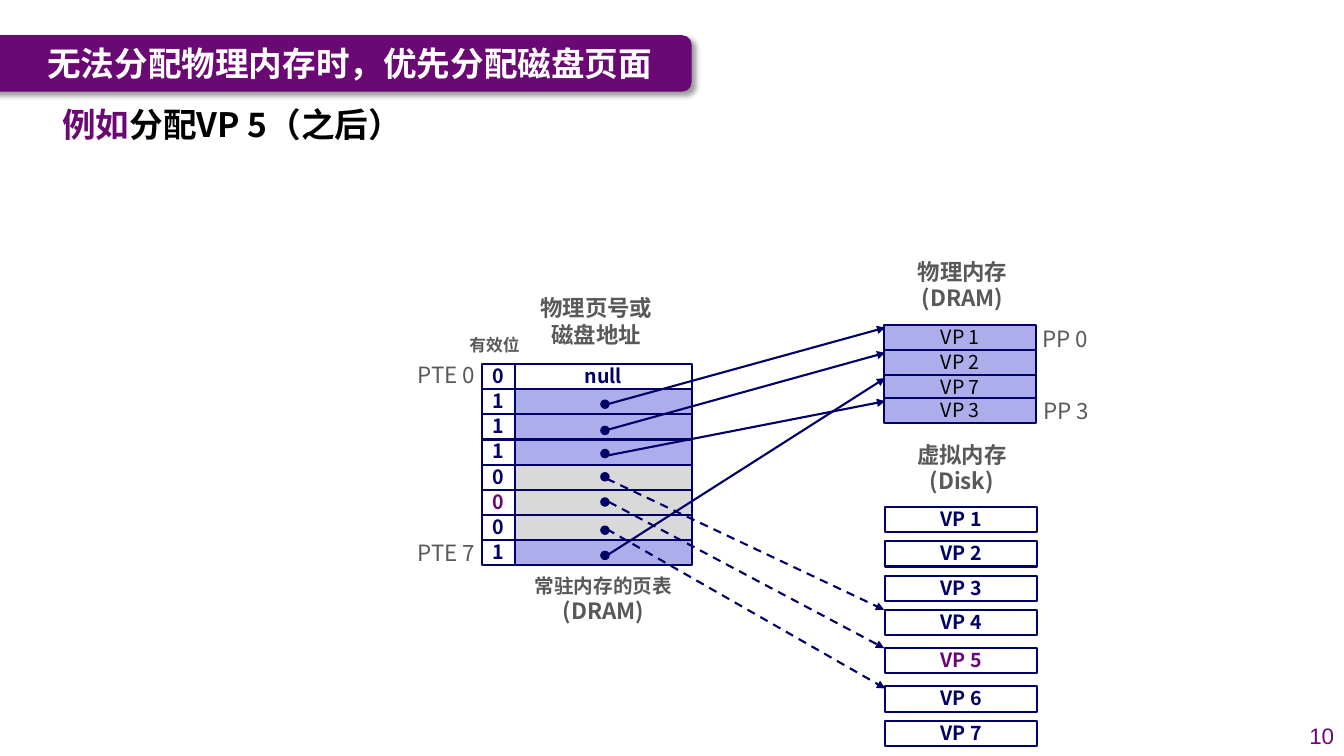
"""Build a slide on page allocation falling back to disk when memory is full."""
from dataclasses import dataclass
from typing import NamedTuple

from lxml import etree
from pptx import Presentation
from pptx import util as u
from pptx.dml.color import RGBColor
from pptx.enum import dml, shapes, text
from pptx.oxml import ns

CELL = 0.25
CJK = "Noto Sans CJK SC"
NAVY, PURPLE, BANNER, GRAY = "000066", "6B0874", "6A0874", "595959"
LILAC, SILVER, WHITE, BLACK = "ADADEB", "D9D9D9", "FFFFFF", "000000"
LEFT, CENTER, RIGHT = text.PP_ALIGN.LEFT, text.PP_ALIGN.CENTER, text.PP_ALIGN.RIGHT
TOP, MIDDLE = text.MSO_ANCHOR.TOP, text.MSO_ANCHOR.MIDDLE
RECT, ROUND, OVAL = (shapes.MSO_SHAPE.RECTANGLE, shapes.MSO_SHAPE.ROUNDED_RECTANGLE,
                     shapes.MSO_SHAPE.OVAL)

TABLE_TOP, BIT_COL, ENTRY_COL = 14.44, 19.12, 20.44
BIT_W, ENTRY_W, PAGE_W = 1.32, 7, 6.04
DRAM_COL, DISK_COL = 35.08, 35.12
DOT_COL, DOT_SIZE = 23.84, 0.32


class Run(NamedTuple):
    """A piece of text with its format."""
    words: str
    size: float = 14
    color: str = NAVY
    bold: bool = True
    font: str = CJK


class Link(NamedTuple):
    """A table entry's dot and the arrow from it to a page."""
    dot_row: float
    start: tuple[float, float]
    end: tuple[float, float]
    dashed: bool = False


@dataclass
class Box:
    """A shape or text box placed in grid columns and rows."""
    col: float
    row: float
    cols: float
    rows: float
    paragraphs: tuple[tuple[Run, ...], ...] = ()
    fill: str | None = None
    line: str | None = None
    weight: float = 1.5
    kind: shapes.MSO_SHAPE = RECT
    align: text.PP_ALIGN = CENTER
    anchor: text.MSO_ANCHOR = MIDDLE
    wrap: bool = False
    spacing: float = 0.98


ENTRIES = [("0", WHITE, NAVY), ("1", LILAC, NAVY), ("1", LILAC, NAVY), ("1", LILAC, NAVY),
           ("0", SILVER, NAVY), ("0", SILVER, PURPLE), ("0", SILVER, NAVY), ("1", LILAC, NAVY)]
DRAM_PAGES = [("VP 1", 12.88), ("VP 2", 13.88), ("VP 7", 14.88), ("VP 3", 15.8)]
DISK_ROWS = [20.12, 21.48, 22.84, 24.2, 25.72, 27.24, 28.6]
LINKS = [
    Link(15.88, (23.96, 16.08), (35.12, 13)),
    Link(16.92, (24.16, 17.04), (35.12, 14)),
    Link(17.84, (24.08, 18.08), (35.12, 15.92)),
    Link(18.76, (24.08, 19), (35.08, 24.2), True),
    Link(19.76, (24.16, 19.92), (35.08, 25.72), True),
    Link(20.88, (24.08, 21), (35.12, 27.32), True),
    Link(21.88, (24.08, 22.04), (35.12, 15)),
]


def grid(n: float) -> u.Emu:
    """Turn grid units into a length."""
    return u.Inches(n * CELL)


def rgb(value: str) -> RGBColor:
    """Turn a hex string into a colour."""
    return RGBColor.from_string(value)


def add_run(p, run: Run) -> None:
    """Append one formatted run to a paragraph."""
    r = p.add_run()
    r.text = run.words
    for key, value in {"size": u.Pt(run.size), "bold": run.bold, "name": run.font}.items():
        setattr(r.font, key, value)
    r.font.color.rgb = rgb(run.color)
    etree.SubElement(r.font._element, ns.qn("a:ea"), typeface=run.font)


def draw_box(s, box: Box):
    """Draw one box with its text."""
    place = [grid(n) for n in (box.col, box.row, box.cols, box.rows)]
    if box.fill or box.line:
        sp = s.shapes.add_shape(box.kind, *place)
        sp.shadow.inherit = False
    else:
        sp = s.shapes.add_textbox(*place)
    if box.fill:
        sp.fill.solid()
        sp.fill.fore_color.rgb = rgb(box.fill)
    else:
        sp.fill.background()
    if box.line:
        sp.line.color.rgb = rgb(box.line)
        sp.line.width = u.Pt(box.weight)
    else:
        sp.line.fill.background()
    tf = sp.text_frame
    for key, value in {"word_wrap": box.wrap, "vertical_anchor": box.anchor}.items():
        setattr(tf, key, value)
    for i, runs in enumerate(box.paragraphs):
        p = tf.add_paragraph() if i else tf.paragraphs[0]
        for key, value in {"alignment": box.align, "line_spacing": box.spacing}.items():
            setattr(p, key, value)
        for run in runs:
            add_run(p, run)
    return sp


def add_shadow(sp) -> None:
    """Give a shape a soft shadow towards the lower right."""
    effects = sp._element.spPr.find(ns.qn("a:effectLst"))
    shadow = etree.SubElement(effects, ns.qn("a:outerShdw"), blurRad=str(u.Pt(4)),
                              dist=str(u.Pt(3)), dir="2700000", algn="tl", rotWithShape="0")
    color = etree.SubElement(shadow, ns.qn("a:srgbClr"), val=BLACK)
    etree.SubElement(color, ns.qn("a:alpha"), val="40000")


def draw_link(s, link: Link) -> None:
    """Draw an arrow and the dot it starts from."""
    line = s.shapes.add_connector(shapes.MSO_CONNECTOR.STRAIGHT,
                                  *map(grid, link.start + link.end))
    line.line.color.rgb = rgb(NAVY)
    line.line.width = u.Pt(1.5)
    if link.dashed:
        line.line.dash_style = dml.MSO_LINE.DASH
    etree.SubElement(line.line._get_or_add_ln(), ns.qn("a:tailEnd"), type="triangle")
    etree.SubElement(line._element.spPr, ns.qn("a:effectLst"))
    draw_box(s, Box(DOT_COL, link.dot_row, DOT_SIZE, DOT_SIZE, fill=NAVY, line=NAVY,
                    weight=1, kind=OVAL))


def caption(col: float, row: float, cols: float, rows: float, *lines: tuple[str, float],
            bold: bool = True, **options) -> Box:
    """Describe a gray label, one paragraph per line."""
    runs = tuple((Run(words, size, GRAY, bold),) for words, size in lines)
    return Box(col, row, cols, rows, runs, **options)


def main() -> None:
    """Draw the slide and save it."""
    prs = Presentation()
    prs.slide_width, prs.slide_height = u.Inches(13.33), u.Inches(7.5)
    s = prs.slides.add_slide(prs.slide_layouts[6])

    boxes = [Box(2.08, 3.92, 49.12, 2, ((Run("例如", 24, PURPLE), Run("分配VP 5（之后）", 24, BLACK)),),
                 align=LEFT, anchor=TOP, wrap=True, spacing=1)]
    for i, (bit, fill, color) in enumerate(ENTRIES):
        entry = () if i else ((Run("null"),),)
        boxes += [Box(ENTRY_COL, TABLE_TOP + i, ENTRY_W, 1, entry, fill, NAVY),
                  Box(BIT_COL, TABLE_TOP + i, BIT_W, 1, ((Run(bit, color=color),),), line=NAVY)]
    boxes += [Box(DRAM_COL, row, PAGE_W, 1, ((Run(name, color=BLACK, bold=False),),), LILAC, NAVY)
              for name, row in DRAM_PAGES]
    boxes += [Box(DISK_COL, row, PAGE_W, 1,
                  ((Run(f"VP {i}", color=PURPLE if i == 5 else NAVY),),), WHITE, NAVY)
              for i, row in enumerate(DISK_ROWS, 1)]
    boxes += [
        caption(20.8, 22.64, 6.28, 2.4, ("常驻内存的页表", 14), ("(DRAM)", 16), anchor=TOP),
        caption(35.96, 10.08, 4.44, 2.52, ("物理内存", 16), ("(DRAM)", 16), anchor=TOP),
        caption(35.96, 17.36, 4.4, 2.52, ("虚拟内存", 16), ("(Disk)", 16), anchor=TOP),
        caption(21, 11.52, 5.32, 2.52, ("物理页号或", 16), ("磁盘地址", 16)),
        caption(18.12, 13.12, 3, 1.2, ("有效位", 12), anchor=TOP, wrap=True),
        caption(16.12, 14.16, 3.12, 1.48, ("PTE 0", 16), bold=False, align=RIGHT),
        caption(16.12, 21.24, 3.12, 1.48, ("PTE 7", 16), bold=False, align=RIGHT),
        caption(40.92, 12.72, 2.68, 1.48, ("PP 0", 16), bold=False),
        caption(40.96, 15.6, 2.68, 1.48, ("PP 3", 16), bold=False),
    ]
    for box in boxes:
        draw_box(s, box)
    for link in LINKS:
        draw_link(s, link)

    add_shadow(draw_box(s, Box(-0.8, 1.4, 28.24, 2.24, fill=BANNER, kind=ROUND)))
    draw_box(s, Box(1.48, 1.4, 24.88, 2.2, ((Run("无法分配物理内存时，优先分配磁盘页面", 24, WHITE),),),
                    align=LEFT, wrap=True, spacing=1))
    draw_box(s, Box(51.16, 28.4, 2.16, 1.6, ((Run("10", 16, BANNER, False, "Arial"),),),
                    align=RIGHT, wrap=True, spacing=1))
    prs.save("out.pptx")


if __name__ == "__main__":
    main()
